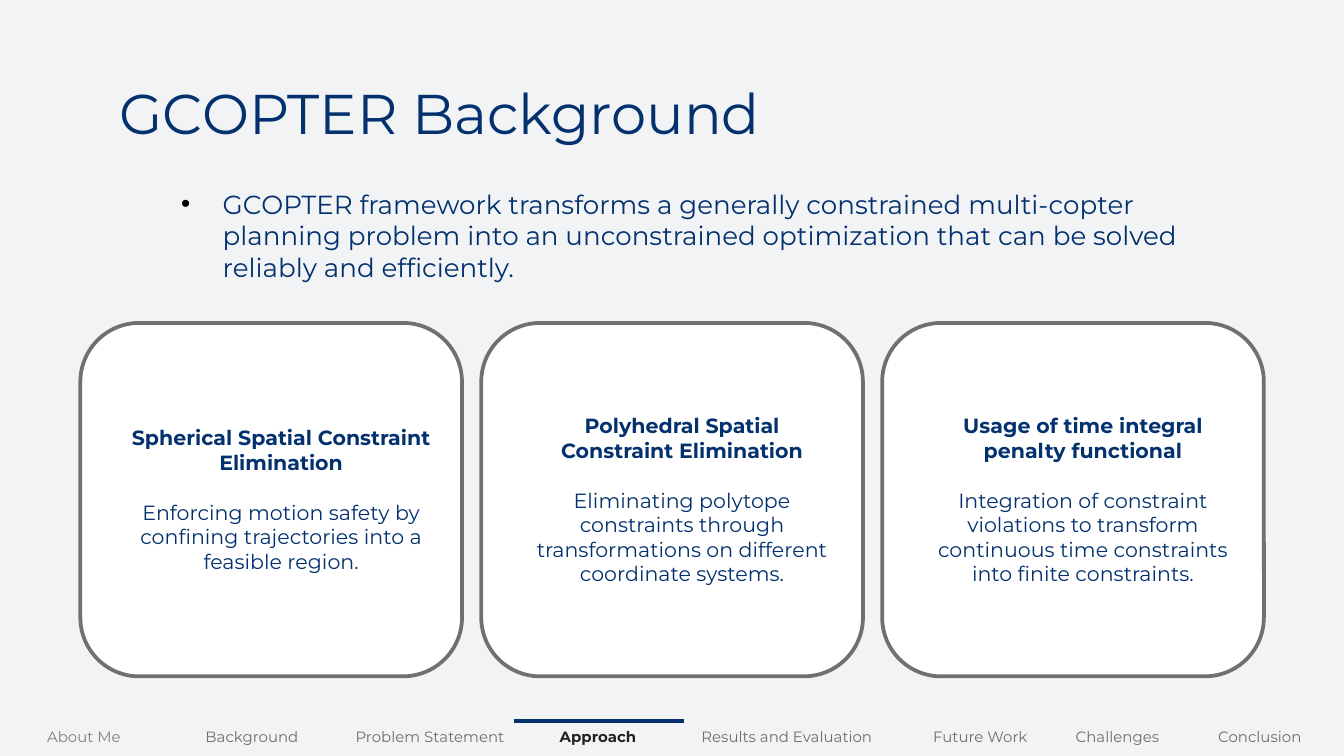
from lxml import etree
from pptx import Presentation
from pptx.dml.color import RGBColor
from pptx.enum.shapes import MSO_CONNECTOR, MSO_SHAPE
from pptx.enum.text import MSO_ANCHOR, MSO_AUTO_SIZE, PP_ALIGN
from pptx.oxml.ns import qn
from pptx.util import Inches, Pt

LEFT, CENTER = PP_ALIGN.LEFT, PP_ALIGN.CENTER
TOP, MIDDLE = MSO_ANCHOR.TOP, MSO_ANCHOR.MIDDLE
NO_AUTOFIT = MSO_AUTO_SIZE.NONE
ROUNDED = MSO_SHAPE.ROUNDED_RECTANGLE
STRAIGHT = MSO_CONNECTOR.STRAIGHT

FONT = "Montserrat"
NAVY, WHITE, BLACK = "03316E", "FFFFFF", "000000"
BACKGROUND, BORDER = "F1F3F5", "707070"
MUTED, VISITED, ACTIVE = "6E6E6E", "808080", "222222"
PLAIN_TABLE = "{2D5ABB26-0587-4C30-8999-92F81FD0307C}"
GRID = 0.1

CARDS = [
    ("Spherical Spatial Constraint Elimination",
     "Enforcing motion safety by confining trajectories into a feasible region."),
    ("Polyhedral Spatial Constraint Elimination",
     "Eliminating polytope constraints through transformations on different "
     "coordinate systems."),
    ("Usage of time integral penalty functional",
     "Integration of constraint violations to transform continuous time "
     "constraints into finite constraints."),
]
SECTIONS = [
    ("About Me", 12.5), ("Background", 12.5), ("Problem Statement", 14),
    ("Approach", 11), ("Results and Evaluation", 17.1), ("Future Work", 11.7),
    ("Challenges", 8.7), ("Conclusion", 12.5),
]
SECTION_COLORS = {"About Me": VISITED, "Approach": ACTIVE}


def color(value):
    return RGBColor.from_string(value)


def grid(*counts):
    return [Inches(count * GRID) for count in counts]


class SlideBuilder:
    """Builds styled elements on a slide with a tenth-of-an-inch grid."""

    def __init__(self, presentation):
        self.slide = presentation.slides.add_slide(presentation.slide_layouts[1])
        fill = self.slide.background.fill
        fill.solid()
        fill.fore_color.rgb = color(BACKGROUND)

    def format(self, paragraph, size, value=NAVY, bold=False, align=LEFT):
        paragraph.alignment = align
        paragraph.space_before = Pt(0)
        for run in paragraph.runs:
            run.font.name = FONT
            run.font.size = Pt(size)
            run.font.bold = bold
            run.font.color.rgb = color(value)

    def indent(self, paragraph, margin, first):
        properties = paragraph._p.get_or_add_pPr()
        properties.set("marL", str(Inches(margin)))
        properties.set("indent", str(Inches(first)))
        return properties

    def placeholder(self, index, text, box, size):
        shape = self.slide.placeholders[index]
        shape.left, shape.top, shape.width, shape.height = grid(*box)
        frame = shape.text_frame
        frame.text = text
        frame.word_wrap = True
        frame.auto_size = NO_AUTOFIT
        frame.vertical_anchor = TOP
        self.format(frame.paragraphs[0], size)
        return frame

    def title(self, text, box):
        frame = self.placeholder(0, text, box, 30)
        frame.margin_top = frame.margin_bottom = Inches(0.1)

    def bullet(self, text, box):
        frame = self.placeholder(1, text, box, 14)
        properties = self.indent(frame.paragraphs[0], 0.31, -0.31)
        bullet_color = etree.SubElement(properties, qn("a:buClr"))
        etree.SubElement(bullet_color, qn("a:srgbClr"), val=BLACK)
        etree.SubElement(properties, qn("a:buFont"), typeface="Arial")
        etree.SubElement(properties, qn("a:buChar"), char="•")

    def card(self, heading, description, box):
        shape = self.slide.shapes.add_shape(ROUNDED, *grid(*box))
        shape.shadow.inherit = False
        shape.fill.solid()
        shape.fill.fore_color.rgb = color(WHITE)
        shape.line.color.rgb = color(BORDER)
        shape.line.width = Pt(2)
        frame = shape.text_frame
        frame.word_wrap = True
        frame.vertical_anchor = MIDDLE
        frame.text = f"{heading}\n{description}"
        for paragraph, bold in zip(frame.paragraphs, (True, False)):
            self.format(paragraph, 11, bold=bold, align=CENTER)
            self.indent(paragraph, 0.15, 0)
        frame.paragraphs[1].space_before = Pt(13.4)

    def navigation(self, sections, box):
        table = self.slide.shapes.add_table(1, len(sections), *grid(*box)).table
        table._tbl.tblPr.find(qn("a:tableStyleId")).text = PLAIN_TABLE
        table.first_row = table.horz_banding = False
        for index, (name, width) in enumerate(sections):
            table.columns[index].width = grid(width)[0]
            cell = table.cell(0, index)
            cell.fill.background()
            cell.vertical_anchor = TOP
            cell.text_frame.text = name
            self.format(cell.text_frame.paragraphs[0], 8,
                        SECTION_COLORS.get(name, MUTED), name == "Approach", CENTER)

    def marker(self, start, end, row):
        line = self.slide.shapes.add_connector(STRAIGHT, *grid(start, row, end, row))
        line.line.color.rgb = color(NAVY)
        line.line.width = Pt(2.25)
        etree.SubElement(line._element.spPr, qn("a:effectLst"))


def main():
    presentation = Presentation()
    presentation.slide_width = Inches(10)
    presentation.slide_height = presentation.slide_width * 9 // 16
    builder = SlideBuilder(presentation)
    builder.navigation(SECTIONS, (0, 53.64, 100, 2.6))
    builder.marker(38.27, 50.9, 53.64)
    builder.title("GCOPTER Background", (7.9, 4.85, 84.3, 6.3))
    builder.bullet(
        "GCOPTER framework transforms a generally constrained multi-copter planning "
        "problem into an unconstrained optimization that can be solved reliably and "
        "efficiently.", (12.47, 13.5, 76.9, 8.1))
    for index, (heading, description) in enumerate(CARDS):
        builder.card(heading, description, (5.98 + index * 29.83, 24.03, 28.4, 26.3))
    presentation.save("out.pptx")


if __name__ == "__main__":
    main()
